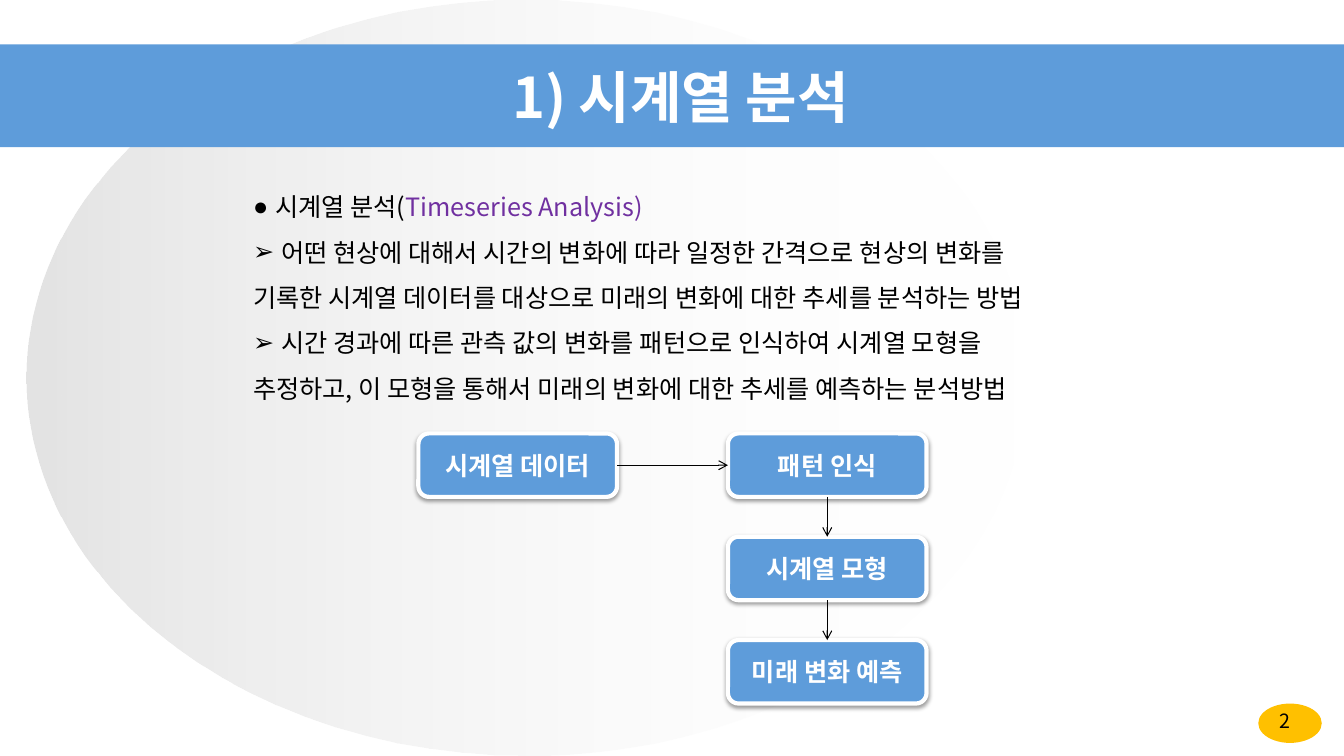
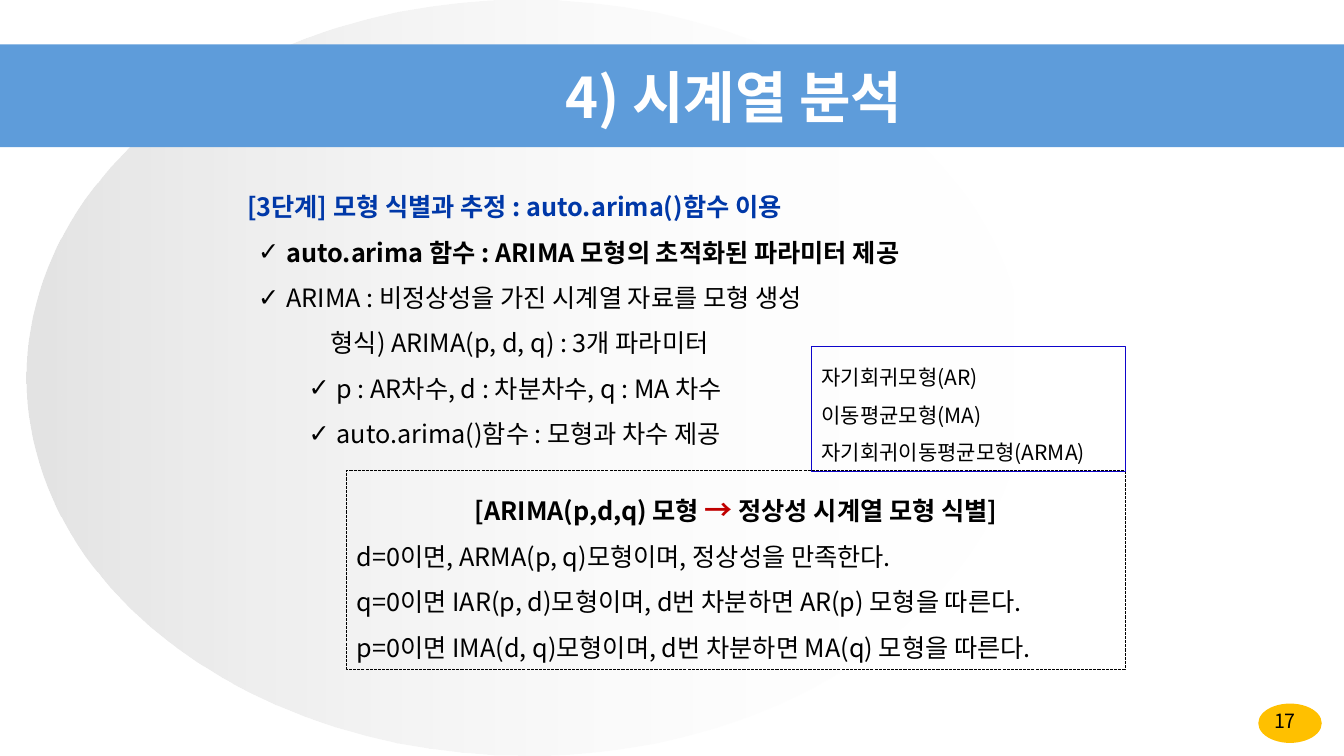
from lxml.etree import SubElement
from pptx import Presentation
from pptx.dml.color import RGBColor
from pptx.enum.dml import MSO_LINE
from pptx.enum.shapes import MSO_CONNECTOR, MSO_SHAPE
from pptx.enum.text import MSO_ANCHOR, MSO_AUTO_SIZE, PP_ALIGN
from pptx.oxml.ns import qn
from pptx.util import Inches, Pt

FONT = "Noto Sans CJK KR"
BLUE, WHITE, BLACK, GOLD = "5E9CDA", "FFFFFF", "000000", "FFC000"
PURPLE, NAVY, RED, FRAME = "7030A0", "0038A8", "C00000", "0E05CB"

# Content: each paragraph is (runs, format); each run is (text, format)
INTRO = [
    ([("시계열 분석(", {}), ("Timeseries Analysis)", {"color": PURPLE})],
     {"bullet": "●", "left": 0.22, "hang": 0.22}),
    ("어떤 현상에 대해서 시간의 변화에 따라 일정한 간격으로 현상의 변화를",
     {"bullet": "➢", "left": 0.28, "hang": 0.28}),
    ("기록한 시계열 데이터를 대상으로 미래의 변화에 대한 추세를 분석하는 방법", {}),
    ("시간 경과에 따른 관측 값의 변화를 패턴으로 인식하여 시계열 모형을",
     {"bullet": "➢", "left": 0.28, "hang": 0.28}),
    ("추정하고, 이 모형을 통해서 미래의 변화에 대한 추세를 예측하는 분석방법", {}),
]
CHECK = {"bullet": "✓", "left": 0.56, "hang": 0.28, "level": 1}
SUBCHECK = {**CHECK, "left": 1.06, "level": 2}
STEP = [
    ("[3단계] 모형 식별과 추정 : auto.arima()함수 이용",
     {"left": 0.17, "color": NAVY, "bold": True}),
    ("auto.arima 함수 : ARIMA 모형의 초적화된 파라미터 제공", {**CHECK, "bold": True}),
    ("ARIMA : 비정상성을 가진 시계열 자료를 모형 생성", CHECK),
    ("형식) ARIMA(p, d, q) : 3개 파라미터", {"left": 1, "level": 2}),
    ("p : AR차수, d : 차분차수, q : MA 차수", SUBCHECK),
    ("auto.arima()함수 : 모형과 차수 제공", SUBCHECK),
]
RULES = [
    ([("[ARIMA(p,d,q) 모형 ", {}), ("→", {"size": 20, "color": RED}),
      (" 정상성 시계열 모형 식별]", {})],
     {"bold": True, "align": PP_ALIGN.CENTER, "pitch": 36}),
    ("d=0이면, ARMA(p, q)모형이며, 정상성을 만족한다.", {}),
    ("q=0이면 IAR(p, d)모형이며, d번 차분하면 AR(p) 모형을 따른다.", {}),
    ("p=0이면 IMA(d, q)모형이며, d번 차분하면 MA(q) 모형을 따른다.", {}),
]
MODELS = [(name, {"size": 15}) for name in
          ("자기회귀모형(AR)", "이동평균모형(MA)", "자기회귀이동평균모형(ARMA)")]

# Flow of cards: text, column, row; each links to the next
FLOW = [("시계열 데이터", 0, 0), ("패턴 인식", 1, 0),
        ("시계열 모형", 1, 1), ("미래 변화 예측", 1, 2)]
CARD_W, CARD_H = 1.97, 0.63
FLOW_X, FLOW_Y, COL_STEP, ROW_STEP = 4.15, 4.3, 3.07, 1.025


def rgb(color):
    return RGBColor.from_string(color)


def place(shape, x, y, w, h):
    shape.left, shape.top = Inches(x), Inches(y)
    shape.width, shape.height = Inches(w), Inches(h)


def add_run(p, text, size=18, color=BLACK, bold=False):
    r = p.add_run()
    r.text = text
    r.font.size, r.font.bold, r.font.name = Pt(size), bold, FONT
    r.font.color.rgb = rgb(color)
    SubElement(r.font._element, qn("a:ea"), typeface=FONT)


def add_para(p, content, align=PP_ALIGN.LEFT, level=0, left=0, hang=0,
             bullet=None, pitch=None, **font):
    p.alignment, p.level = align, level
    p.space_before = p.space_after = Pt(0)
    if pitch:
        p.line_spacing = Pt(pitch)
    pPr = p._p.get_or_add_pPr()
    pPr.set("marL", str(Inches(left)))
    pPr.set("indent", str(-Inches(hang)))
    if bullet:
        SubElement(pPr, qn("a:buChar"), char=bullet)
    else:
        SubElement(pPr, qn("a:buNone"))
    runs = [(content, {})] if isinstance(content, str) else content
    for text, extra in runs:
        add_run(p, text, **{**font, **extra})


def write(shape, paras, anchor=MSO_ANCHOR.TOP, **common):
    tf = shape.text_frame
    tf.word_wrap, tf.auto_size, tf.vertical_anchor = True, MSO_AUTO_SIZE.NONE, anchor
    for i, (content, fmt) in enumerate(paras):
        p = tf.add_paragraph() if i else tf.paragraphs[0]
        add_para(p, content, **{**common, **fmt})


def add_box(s, kind, at, fill=None, line=None, width=0.75):
    sp = s.shapes.add_shape(kind, *map(Inches, at))
    sp.shadow.inherit = False
    if fill:
        sp.fill.solid()
        sp.fill.fore_color.rgb = rgb(fill)
    else:
        sp.fill.background()
    if line:
        sp.line.color.rgb, sp.line.width = rgb(line), Pt(width)
    else:
        sp.line.fill.background()
    return sp


def decorate_layout(layout, s):
    """Give the layout its band, backdrop and page badge."""
    for ph in list(layout.placeholders):
        if ph.placeholder_format.idx > 1:
            ph.element.getparent().remove(ph.element)
    badge = add_box(s, MSO_SHAPE.OVAL, (12.48, 6.98, 0.63, 0.39), GOLD)
    disc = add_box(s, MSO_SHAPE.OVAL, (0.26, 0, 9.92, 7.5))
    disc.fill.gradient()
    disc.fill.gradient_angle = 0
    for stop, color in zip(disc.fill.gradient_stops, ("C0C0C0", WHITE)):
        stop.color.rgb = rgb(color)
    colors = disc.element.spPr.find(qn("a:gradFill")).iter(qn("a:srgbClr"))
    for node, alpha in zip(list(colors), (44000, 0)):
        SubElement(node, qn("a:alpha"), val=str(alpha))
    band = add_box(s, MSO_SHAPE.RECTANGLE, (0, 0.44, 13.33, 1.02), BLUE)
    for i, sp in enumerate((badge, disc, band)):
        layout.shapes.element.insert(2 + i, sp.element)


def fill_slide(s, title, title_x, title_w, number, body, body_at):
    place(s.shapes.title, title_x, 0.58, title_w, 0.75)
    write(s.shapes.title, [(title, {})], MSO_ANCHOR.MIDDLE,
          align=PP_ALIGN.CENTER, size=40, color=WHITE, bold=True)
    place(s.placeholders[1], *body_at)
    write(s.placeholders[1], body, pitch=32.4)
    page = s.shapes.add_textbox(*map(Inches, (12.16, 6.98, 1.17, 0.29)))
    write(page, [(number, {})], align=PP_ALIGN.CENTER, size=14)


def add_card(s, text, col, row):
    at = (FLOW_X + col * COL_STEP, FLOW_Y + row * ROW_STEP, CARD_W, CARD_H)
    sp = add_box(s, MSO_SHAPE.ROUNDED_RECTANGLE, at, BLUE, WHITE, 3)
    shadow = SubElement(sp.element.spPr.find(qn("a:effectLst")), qn("a:outerShdw"),
                        blurRad="40000", dist="20000", dir="5400000", rotWithShape="0")
    color = SubElement(shadow, qn("a:srgbClr"), val=BLACK)
    SubElement(color, qn("a:alpha"), val="38000")
    write(sp, [(text, {})], MSO_ANCHOR.MIDDLE,
          align=PP_ALIGN.CENTER, color=WHITE, bold=True)
    return sp


def add_arrow(s, start, end):
    same_row = start.top == end.top
    cn = s.shapes.add_connector(MSO_CONNECTOR.STRAIGHT, 0, 0, 0, 0)
    cn.begin_connect(start, 3 if same_row else 2)
    cn.end_connect(end, 1 if same_row else 0)
    cn.line.color.rgb, cn.line.width = rgb(BLACK), Pt(0.75)
    SubElement(cn.line._get_or_add_ln(), qn("a:tailEnd"), type="arrow")
    SubElement(cn._element.spPr, qn("a:effectLst"))


def main():
    prs = Presentation()
    prs.slide_width, prs.slide_height = Inches(13.33), Inches(7.5)
    layout = prs.slide_layouts[1]

    # Slide 1: definition and flow
    s = prs.slides.add_slide(layout)
    decorate_layout(layout, s)
    fill_slide(s, "1) 시계열 분석", 0.16, 13.18, "2", INTRO, (2.41, 1.7, 9.03, 2.37))
    cards = [add_card(s, *card) for card in FLOW]
    for start, end in zip(cards, cards[1:]):
        add_arrow(s, start, end)

    # Slide 2: model identification
    s = prs.slides.add_slide(layout)
    fill_slide(s, "4) 시계열 분석", 2.89, 8.78, "17", STEP, (2.18, 1.7, 8.82, 2.83))
    rules = add_box(s, MSO_SHAPE.RECTANGLE, (3.44, 4.67, 7.72, 1.97), line=BLACK)
    rules.line.dash_style = MSO_LINE.SQUARE_DOT
    write(rules, RULES, pitch=32.4)
    models = add_box(s, MSO_SHAPE.RECTANGLE, (8.05, 3.44, 3.11, 1.24), line=FRAME)
    write(models, MODELS, pitch=27)

    prs.save("out.pptx")


if __name__ == "__main__":
    main()
